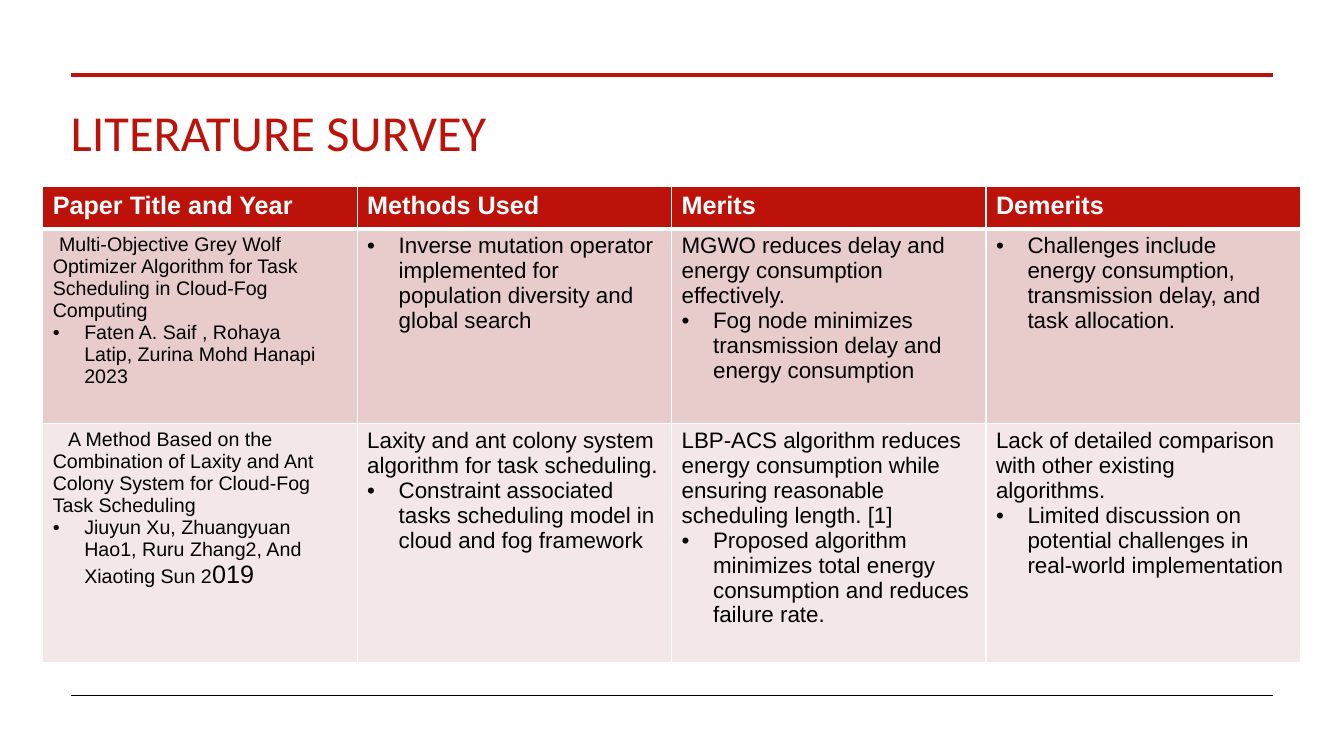
from lxml import etree
from pptx import Presentation
from pptx.dml.color import RGBColor
from pptx.enum.shapes import MSO_CONNECTOR
from pptx.enum.text import MSO_ANCHOR
from pptx.oxml.ns import qn
from pptx.util import Pt

STRAIGHT = MSO_CONNECTOR.STRAIGHT
TOP = MSO_ANCHOR.TOP

RED, BLACK, WHITE = "BD1209", "000000", "FFFFFF"
BODY_FILLS = ["E8CCCC", "F4E7E7"]
HANGING = 22.5

HEADERS = ["Paper Title and Year", "Methods Used", "Merits", "Demerits"]
COLUMN_WIDTH = 224.6
ROW_HEIGHTS = [30.2, 139.2, 170.6]


def color(value):
    return RGBColor.from_string(value)


def plain(*spans, indent=0):
    return {"spans": spans, "margin": 0, "indent": indent, "bullet": False}


def bullet(*spans):
    return {"spans": spans, "margin": HANGING, "indent": -HANGING, "bullet": True}


SURVEY = [
    [
        [
            plain(("Multi-Objective Grey Wolf Optimizer Algorithm for Task "
                   "Scheduling in Cloud-Fog Computing", 14), indent=4.5),
            bullet(("Faten A. Saif , Rohaya Latip, Zurina Mohd Hanapi 2023", 14)),
        ],
        [bullet(("Inverse mutation operator implemented for population "
                 "diversity and global search", 16))],
        [
            plain(("MGWO reduces delay and energy consumption effectively.", 16)),
            bullet(("Fog node minimizes transmission delay and energy consumption", 16)),
        ],
        [bullet(("Challenges include energy consumption, transmission delay, "
                 "and task allocation.", 16))],
    ],
    [
        [
            plain(("A Method Based on the Combination of Laxity and Ant Colony "
                   "System for Cloud-Fog Task Scheduling", 14), indent=11),
            bullet(("Jiuyun Xu, Zhuangyuan Hao1, Ruru Zhang2, And Xiaoting Sun 2", 14),
                   ("019", 18)),
        ],
        [
            plain(("Laxity and ant colony system algorithm for task scheduling.", 16)),
            bullet(("Constraint associated tasks scheduling model in cloud and "
                    "fog framework", 16)),
        ],
        [
            plain(("LBP-ACS algorithm reduces energy consumption while ensuring "
                   "reasonable scheduling length. [1]", 16)),
            bullet(("Proposed algorithm minimizes total energy consumption and "
                    "reduces failure rate.", 16)),
        ],
        [
            plain(("Lack of detailed comparison with other existing algorithms.", 16)),
            bullet(("Limited discussion on potential challenges in real-world "
                    "implementation", 16)),
        ],
    ],
]


class SlideBuilder:
    def __init__(self, page, body_font, title_font):
        self.page = page
        self.body_font = body_font
        self.title_font = title_font

    def span(self, para, text, tone, **formats):
        span = para.add_run()
        span.text = text
        for name, value in formats.items():
            setattr(span.font, name, value)
        span.font.color.rgb = color(tone)

    def rule(self, y, tone, weight):
        line = self.page.shapes.add_connector(
            STRAIGHT, Pt(50.6), Pt(y), Pt(909.4), Pt(y))
        line.line.color.rgb = color(tone)
        line.line.width = Pt(weight)
        etree.SubElement(line.element.spPr, qn("a:effectLst"))

    def title(self, text, left, top, width, height):
        box = self.page.shapes.add_textbox(Pt(left), Pt(top), Pt(width), Pt(height))
        frame = box.text_frame
        frame.word_wrap = True
        frame.vertical_anchor = TOP
        para = frame.paragraphs[0]
        para.line_spacing = 0.85
        self.span(para, text, RED, name=self.title_font, size=Pt(36))

    def table(self, left, top, headers, body):
        rows = len(body) + 1
        table = self.page.shapes.add_table(
            rows, len(headers), Pt(left), Pt(top),
            Pt(COLUMN_WIDTH * len(headers)), Pt(sum(ROW_HEIGHTS))).table
        for column in table.columns:
            column.width = Pt(COLUMN_WIDTH)
        for row, height in zip(table.rows, ROW_HEIGHTS):
            row.height = Pt(height)
        for index, header in enumerate(headers):
            cell = table.cell(0, index)
            self.cell_style(cell, RED, {"B": 3})
            self.span(cell.text_frame.paragraphs[0], header, WHITE,
                      name=self.body_font, size=Pt(18), bold=True)
        for row, (entries, fill) in enumerate(zip(body, BODY_FILLS), 1):
            for index, paragraphs in enumerate(entries):
                cell = table.cell(row, index)
                self.cell_style(cell, fill, {"T": 3} if row == 1 else {})
                self.cell_text(cell.text_frame, paragraphs)
            table.cell(row, 0).margin_right = Pt(22)

    def cell_style(self, cell, fill, weights):
        properties = cell._tc.get_or_add_tcPr()
        for side in "LRTB":
            border = etree.SubElement(properties, qn(f"a:ln{side}"),
                                      w=str(Pt(weights.get(side, 1))))
            solid = etree.SubElement(border, qn("a:solidFill"))
            etree.SubElement(solid, qn("a:srgbClr"), val=WHITE)
        cell.fill.solid()
        cell.fill.fore_color.rgb = color(fill)
        cell.vertical_anchor = TOP

    def cell_text(self, frame, paragraphs):
        for index, content in enumerate(paragraphs):
            para = frame.add_paragraph() if index else frame.paragraphs[0]
            properties = para._p.get_or_add_pPr()
            properties.set("marL", str(Pt(content["margin"])))
            properties.set("indent", str(Pt(content["indent"])))
            if content["bullet"]:
                etree.SubElement(properties, qn("a:buFont"), typeface=self.body_font)
                etree.SubElement(properties, qn("a:buChar"), char="•")
            else:
                etree.SubElement(properties, qn("a:buNone"))
            for text, size in content["spans"]:
                self.span(para, text, BLACK, name=self.body_font,
                          size=Pt(size), bold=False)


def main():
    deck = Presentation()
    deck.slide_width, deck.slide_height = Pt(960), Pt(540)
    page = deck.slides.add_slide(deck.slide_layouts[6])
    builder = SlideBuilder(page, "Arial", "Calibri")
    builder.rule(53.5, RED, 3)
    builder.rule(496.6, BLACK, 0.5)
    builder.title("LITERATURE SURVEY", 43.4, 75, 865.6, 85)
    builder.table(30.5, 133.2, HEADERS, SURVEY)
    deck.save("out.pptx")


if __name__ == "__main__":
    main()
